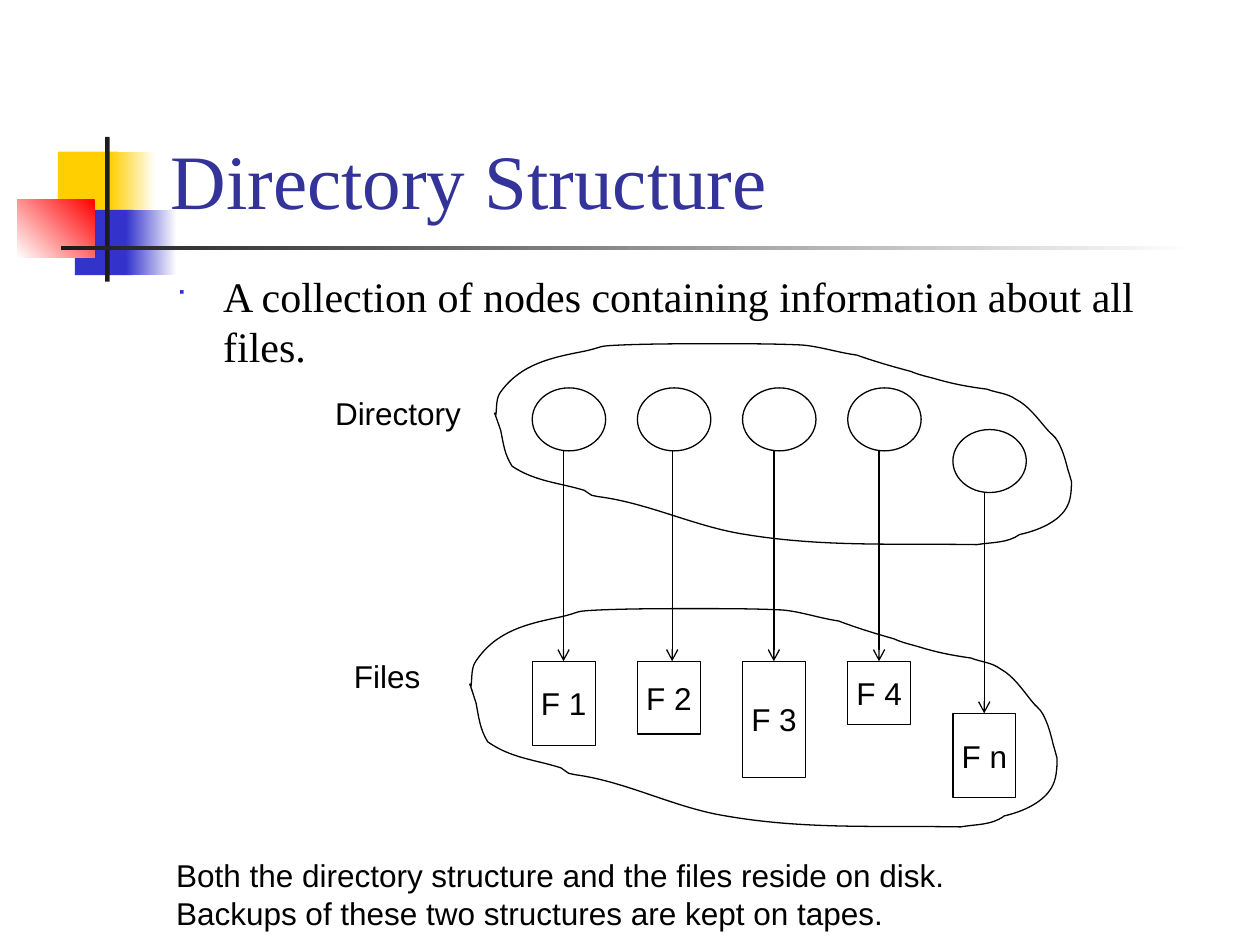
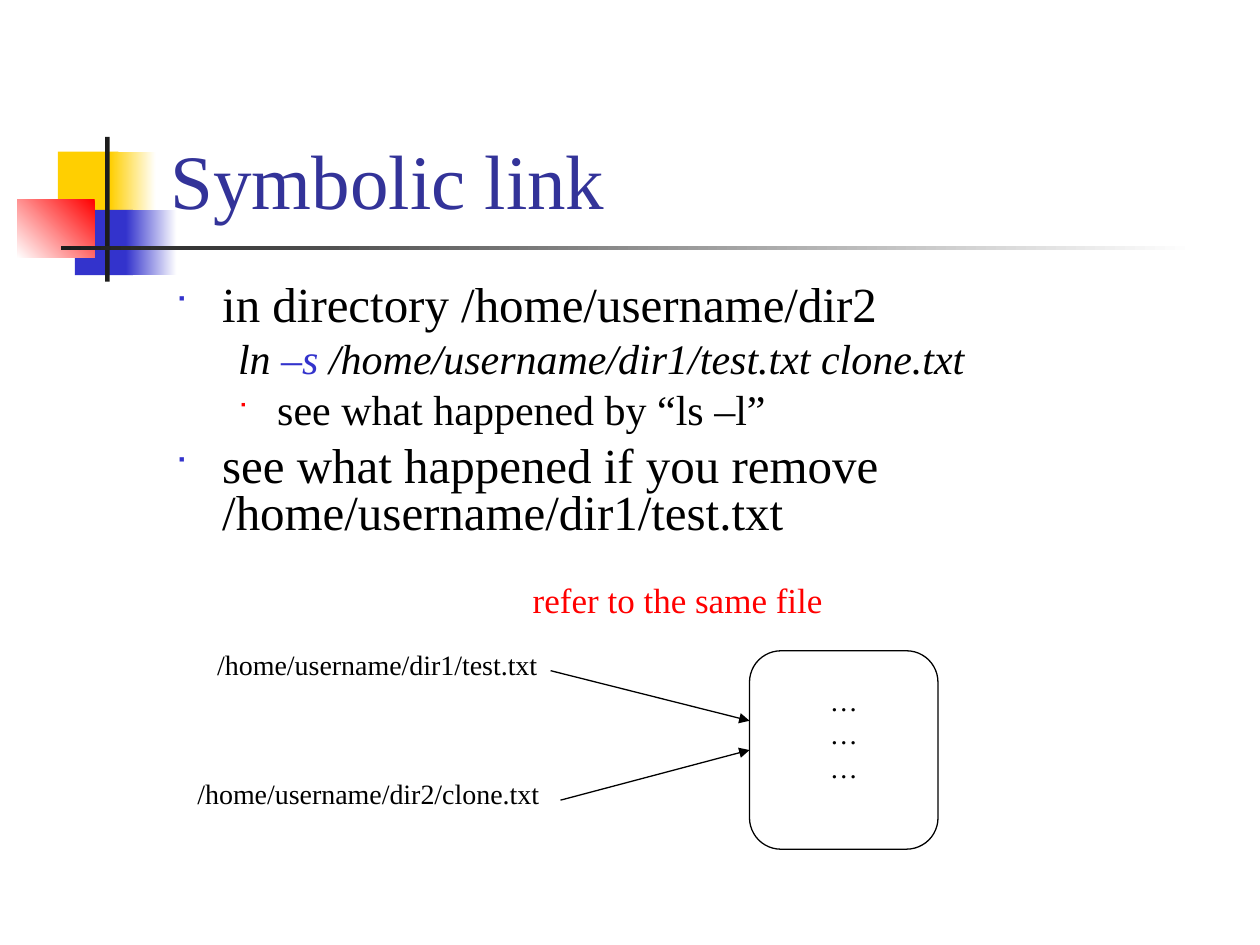
import lxml.etree
import pptx
import pptx.dml.color
import pptx.enum.shapes
import pptx.enum.text
import pptx.oxml.ns
import pptx.util

Cm = pptx.util.Cm
Pt = pptx.util.Pt
qn = pptx.oxml.ns.qn
SHAPES = pptx.enum.shapes.MSO_SHAPE
ALIGN = pptx.enum.text.PP_ALIGN
ANCHOR = pptx.enum.text.MSO_ANCHOR

BLACK, WHITE, DARK = "000000", "FFFFFF", "1C1C1C"
YELLOW, BLUE, RED, TITLE_BLUE = "FFCF01", "3333CC", "FF0000", "333399"
SERIF, SANS, BULLET_FONT = "Times New Roman", "Arial", "Wingdings"

# Each level: left margin, first-line indent, bullet size in percent, bullet colour.
LEVELS = [(0.95, -0.95, 60, BLUE), (2.06, -0.79, 55, RED)]

CLOUD_WIDTH, CLOUD_HEIGHT = 457, 159
CLOUD_START = (1, 57)
CLOUD_CURVES = [
    ((2, 50), (1, 43), (5, 38)), ((21, 16), (45, 11), (71, 6)),
    ((89, 2), (79, 2), (101, 1)), ((126, 0), (151, 0), (177, 0)),
    ((199, 0), (221, 0), (243, 1)), ((257, 2), (272, 7), (287, 9)),
    ((301, 14), (315, 18), (330, 22)), ((337, 25), (343, 26), (350, 28)),
    ((364, 32), (375, 34), (390, 36)), ((398, 39), (406, 39), (413, 44)),
    ((423, 49), (430, 59), (437, 67)), ((440, 71), (444, 73), (446, 77)),
    ((450, 84), (452, 91), (454, 99)), ((455, 102), (457, 109), (457, 109)),
    ((457, 113), (457, 122), (454, 128)), ((448, 141), (430, 148), (416, 151)),
    ((406, 158), (394, 157), (382, 159)), ((318, 158), (260, 161), (199, 151)),
    ((159, 145), (122, 126), (82, 121)), ((80, 121), (79, 120), (77, 120)),
    ((75, 119), (73, 117), (71, 116)), ((51, 110), (32, 109), (14, 97)),
    ((8, 88), (7, 79), (5, 69)), ((5, 69), (1, 57), (0, 55)),
    ((0, 54), (1, 56), (1, 57)),
]


def color(value):
    """Turn a hex string into a colour."""
    return pptx.dml.color.RGBColor.from_string(value)


def outline(shape):
    """Give a shape or connector the thin black line."""
    shape.line.color.rgb = color(BLACK)
    shape.line.width = Pt(0.75)


def add_box(slide, kind, left, top, width, height, fill=None, lined=True):
    """Add a preset shape without shadow."""
    shape = slide.shapes.add_shape(kind, Cm(left), Cm(top), Cm(width), Cm(height))
    shape.shadow.inherit = False
    if fill:
        shape.fill.solid()
        shape.fill.fore_color.rgb = color(fill)
    else:
        shape.fill.background()
    if lined:
        outline(shape)
    else:
        shape.line.fill.background()
    return shape


def add_fade(slide, left, top, width, height, start, angle=0):
    """Add a rectangle that fades from a colour to white."""
    shape = add_box(slide, SHAPES.RECTANGLE, left, top, width, height, lined=False)
    shape.fill.gradient()
    shape.fill.gradient_angle = angle
    for stop, value in zip(shape.fill.gradient_stops, (start, WHITE)):
        stop.color.rgb = color(value)


def format_runs(paragraph, size, font, value=BLACK, italic=False):
    """Format every run of a paragraph."""
    for run in paragraph.runs:
        run.font.size = Pt(size)
        run.font.name = font
        run.font.italic = italic
        run.font.color.rgb = color(value)


def fill_text(shape, text, size, font, value=BLACK, align=ALIGN.LEFT, anchor=ANCHOR.TOP, wrap=True):
    """Write uniformly formatted text into a shape."""
    frame = shape.text_frame
    frame.word_wrap = wrap
    frame.vertical_anchor = anchor
    frame.text = text
    for paragraph in frame.paragraphs:
        paragraph.alignment = align
        format_runs(paragraph, size, font, value)


def add_text(slide, left, top, width, height, *content, **style):
    """Add a text box with uniformly formatted text."""
    shape = slide.shapes.add_textbox(Cm(left), Cm(top), Cm(width), Cm(height))
    fill_text(shape, *content, **style)


def add_arrow(slide, start, end, head):
    """Add a thin line with an arrowhead at its end."""
    line = slide.shapes.add_connector(
        pptx.enum.shapes.MSO_CONNECTOR.STRAIGHT, *(Cm(value) for value in start + end))
    outline(line)
    line.line._get_or_add_ln().append(
        lxml.etree.Element(qn("a:tailEnd"), type=head))
    lxml.etree.SubElement(line._element.spPr, qn("a:effectLst"))


def set_level(paragraph, level, bulleted):
    """Set the indent and bullet of a body paragraph."""
    margin, indent, percent, bullet_color = LEVELS[level]
    paragraph.level = level
    properties = paragraph._p.get_or_add_pPr()
    properties.set("marL", str(Cm(margin)))
    properties.set("indent", str(Cm(indent)))
    if not bulleted:
        lxml.etree.SubElement(properties, qn("a:buNone"))
        return
    holder = lxml.etree.SubElement(properties, qn("a:buClr"))
    lxml.etree.SubElement(holder, qn("a:srgbClr"), val=bullet_color)
    lxml.etree.SubElement(properties, qn("a:buSzPct"), val=str(percent * 1000))
    lxml.etree.SubElement(properties, qn("a:buFont"), typeface=BULLET_FONT, charset="2")
    lxml.etree.SubElement(properties, qn("a:buChar"), char="■")


def add_body(slide, left, top, width, height, items, spacing=1.0):
    """Add the body text from (text, level, size, bulleted) items."""
    shape = slide.shapes.add_textbox(Cm(left), Cm(top), Cm(width), Cm(height))
    frame = shape.text_frame
    frame.word_wrap = True
    for index, (text, level, size, bulleted) in enumerate(items):
        paragraph = frame.add_paragraph() if index else frame.paragraphs[0]
        set_level(paragraph, level, bulleted)
        paragraph.line_spacing = spacing
        paragraph.space_before = Pt(size / 4 if index else 0)
        for part in text if isinstance(text, tuple) else (text,):
            paragraph.add_run().text = part
        format_runs(paragraph, size, SERIF, italic=not bulleted)
    return frame


def add_themed_slide(presentation, title):
    """Add a slide with the coloured squares, the rules and a title."""
    slide = presentation.slides.add_slide(presentation.slide_layouts[6])
    add_box(slide, SHAPES.RECTANGLE, 1.17, 3.06, 1.22, 1.32, YELLOW, lined=False)
    add_fade(slide, 2.22, 3.06, 0.92, 1.32, YELLOW)
    add_box(slide, SHAPES.RECTANGLE, 1.51, 4.23, 1.17, 1.32, BLUE, lined=False)
    add_fade(slide, 2.54, 4.23, 1.02, 1.32, BLUE)
    add_fade(slide, 0.35, 4.02, 1.56, 1.18, RED, angle=225)
    add_box(slide, SHAPES.RECTANGLE, 2.12, 2.76, 0.09, 2.92, DARK, lined=False)
    add_fade(slide, 1.23, 4.95, 22.86, 0.09, DARK)
    add_text(slide, 3.19, 0.6, 21.64, 4.06, title, 44, SERIF, TITLE_BLUE, anchor=ANCHOR.BOTTOM)
    return slide


def add_cloud(slide, left, top, width, height):
    """Draw the closed curved outline scaled to a box."""
    scale = (Cm(width) / CLOUD_WIDTH, Cm(height) / CLOUD_HEIGHT)
    builder = slide.shapes.build_freeform(*CLOUD_START, scale=scale)
    builder.add_line_segments([end for _, _, end in CLOUD_CURVES], close=True)
    shape = builder.convert_to_shape(Cm(left), Cm(top))
    segments = list(shape._element.iter(qn("a:lnTo")))
    for segment, curve in zip(segments, CLOUD_CURVES):
        bezier = lxml.etree.Element(qn("a:cubicBezTo"))
        for x, y in curve:
            lxml.etree.SubElement(bezier, qn("a:pt"), x=str(x), y=str(y))
        segment.getparent().replace(segment, bezier)
    shape.shadow.inherit = False
    shape.fill.background()
    outline(shape)


def add_directory_diagram(slide, left, top):
    """Draw directory nodes that point to files, each group in a cloud."""
    columns = [("F 1", 0, 0, 1.7, 0.63), ("F 2", 0, 0, 1.47, 0.7),
               ("F 3", 0, 0, 2.34, 0.63), ("F 4", 0, 0, 1.27, 0.63),
               ("F n", 0.84, 1.05, 1.7, 0.63)]
    pitch, node_height = 2.12, 1.27
    for index, (name, node_drop, file_drop, file_height, arrow_shift) in enumerate(columns):
        x = left + 4.23 + index * pitch
        node_top = top + 0.89 + node_drop
        file_top = top + 6.4 + file_drop
        add_box(slide, SHAPES.OVAL, x, node_top, 1.48, node_height, WHITE)
        file_box = add_box(slide, SHAPES.RECTANGLE, x, file_top, 1.27, file_height, WHITE)
        fill_text(file_box, name, 18, SANS, align=ALIGN.CENTER, anchor=ANCHOR.MIDDLE, wrap=False)
        arrow_x = x + arrow_shift
        add_arrow(slide, (arrow_x, node_top + node_height), (arrow_x, file_top), "arrow")
    add_cloud(slide, left + 3.47, top, 11.63, 4.05)
    add_cloud(slide, left + 2.97, top + 5.34, 11.84, 4.4)
    for name, x, y, width in (("Directory", 0, 0.89, 3.05), ("Files", 0.38, 6.18, 1.85)):
        add_text(slide, left + x, top + y, width, 1.02, name, 18, SANS,
                 align=ALIGN.CENTER, anchor=ANCHOR.MIDDLE, wrap=False)


def add_link_diagram(slide, left, top):
    """Draw two paths that point to one file."""
    add_text(slide, left + 6.76, top, 6.35, 1.12, "refer to the same file", 20, SERIF, RED, wrap=False)
    links = [("/home/username/dir1/test.txt", (0.4, 1.4), (7.37, 1.99), 3.0),
             ("/home/username/dir2/clone.txt", (0, 3.99), (7.57, 4.6), 3.59)]
    file_left = left + 11.38
    file_box = add_box(slide, SHAPES.ROUNDED_RECTANGLE, file_left, top + 1.59, 3.8, 4.0)
    fill_text(file_box, "…\n…\n…", 16, SERIF, align=ALIGN.CENTER, anchor=ANCHOR.MIDDLE, wrap=False)
    file_box.text_frame.margin_bottom = Cm(0.79)
    for name, (x, y), (start_x, start_y), end_y in links:
        add_text(slide, left + x, top + y, 7.5, 0.94, name, 16, SERIF, wrap=False)
        add_arrow(slide, (left + start_x, top + start_y), (file_left, top + end_y), "triangle")


def add_directory_slide(presentation):
    """Build the slide on the directory structure."""
    slide = add_themed_slide(presentation, "Directory Structure")
    add_body(slide, 3.3, 5.33, 20.8, 2.41, [
        ("A collection of nodes containing information about all files.", 0, 24, True)])
    add_directory_diagram(slide, 6.5, 6.93)
    add_text(slide, 3.3, 17.14, 19.53, 1.07,
             "Both the directory structure and the files reside on disk.\n"
             "Backups of these two structures are kept on tapes.", 18, SANS)


def add_link_slide(presentation):
    """Build the slide on symbolic links."""
    slide = add_themed_slide(presentation, "Symbolic link")
    command = ("ln ", "–s", " /home/username/dir1/test.txt clone.txt")
    frame = add_body(slide, 3.28, 5.61, 21.59, 5.51, [
        ("in directory /home/username/dir2", 0, 28, True),
        (command, 1, 24, False),
        ("see what happened by “ls –l”", 1, 24, True),
        ("see what happened if you remove /home/username/dir1/test.txt", 0, 28, True),
    ], spacing=0.8)
    frame.paragraphs[1].runs[1].font.color.rgb = color(BLUE)
    add_link_diagram(slide, 3.73, 11.53)


def main():
    """Build and save the presentation."""
    presentation = pptx.Presentation()
    presentation.slide_width = Cm(25.4)
    presentation.slide_height = Cm(19.05)
    add_directory_slide(presentation)
    add_link_slide(presentation)
    presentation.save("out.pptx")


if __name__ == "__main__":
    main()
